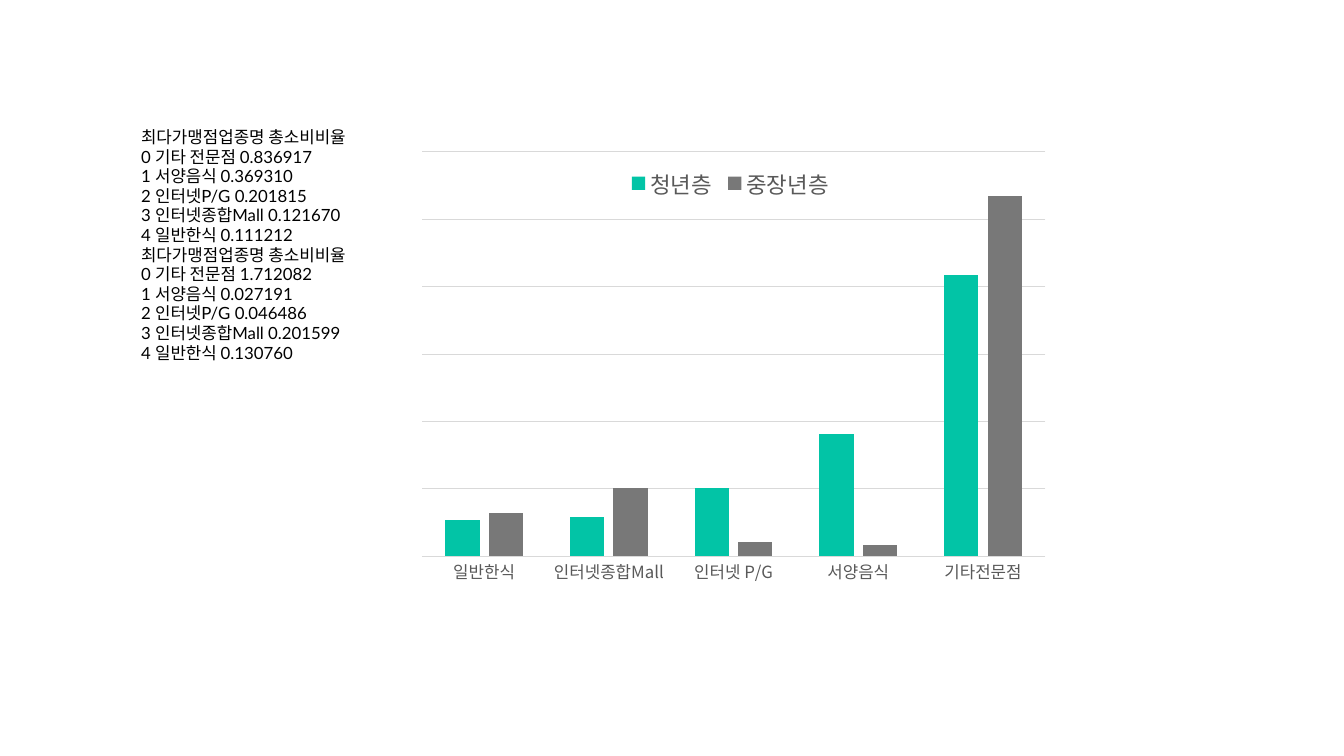
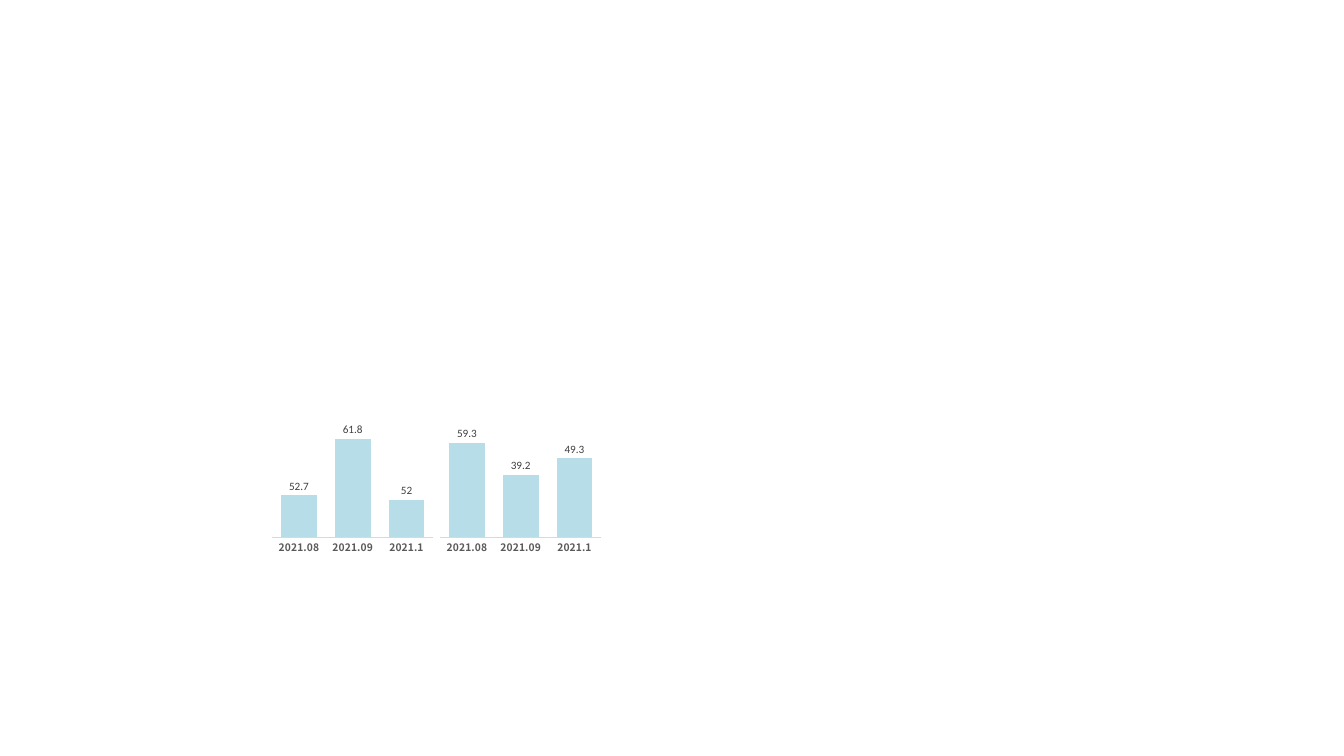
import pptx
import pptx.chart.data
import pptx.dml.color
import pptx.enum.chart
import pptx.enum.text
import pptx.oxml
import pptx.oxml.ns
import pptx.util

PX = 9525  # EMU per px, 96 px to the inch
COLORS = {
    "text": "000000", "axis": "595959", "label": "404040", "line": "D9D9D9",
    "young": "02C4A6", "older": "787878", "month": "B7DEE8",
}
LATIN, KOREAN, CHART_FONT = "Lato", "Noto Sans CJK KR", "Calibri"

SPENDING = [
    "최다가맹점업종명 총소비비율",
    "0 기타 전문점 0.836917",
    "1 서양음식 0.369310",
    "2 인터넷P/G 0.201815",
    "3 인터넷종합Mall 0.121670",
    "4 일반한식 0.111212",
    "최다가맹점업종명 총소비비율",
    "0 기타 전문점 1.712082",
    "1 서양음식 0.027191",
    "2 인터넷P/G 0.046486",
    "3 인터넷종합Mall 0.201599",
    "4 일반한식 0.130760",
]
CATEGORIES = ["일반한식", "인터넷종합Mall", "인터넷 P/G", "서양음식", "기타전문점"]
AGE_GROUPS = [
    ("청년층", [10, 11, 19, 34, 78], "young"),
    ("중장년층", [12, 19, 4, 3, 100], "older"),
]
MONTHS = ["2021.08", "2021.09", "2021.1"]
# values, axis minimum, axis maximum
MONTHLY = [([52.7, 61.8, 52], 46, 64), ([59.3, 39.2, 49.3], 0, 70)]


def rgb(name):
    return pptx.dml.color.RGBColor.from_string(COLORS[name])


def style_font(font, size, color, name, bold=False):
    font.size, font.bold, font.name = pptx.util.Pt(size), bold, name
    font.color.rgb = rgb(color)


def add_text(p, text, size=18, color="text", name=LATIN, east=KOREAN):
    r = p.add_run()
    r.text = text
    style_font(r.font, size, color, name)
    ea = pptx.oxml.parse_xml(f'<a:ea {pptx.oxml.ns.nsdecls("a")} typeface="{east}"/>')
    r.font._element.find(pptx.oxml.ns.qn("a:latin")).addnext(ea)


def set_layout(parent, index, x, y, w, h, inner=False):
    """Place a chart part by fractions of the chart frame."""
    old = parent.find(pptx.oxml.ns.qn("c:layout"))
    if old is not None:
        parent.remove(old)
    target = '<c:layoutTarget val="inner"/>' if inner else ""
    modes = '<c:xMode val="edge"/><c:yMode val="edge"/>'
    sizes = "".join(f'<c:{k} val="{v}"/>' for k, v in zip("xywh", (x, y, w, h)))
    parent.insert(index, pptx.oxml.parse_xml(
        f'<c:layout {pptx.oxml.ns.nsdecls("c")}><c:manualLayout>'
        f"{target}{modes}{sizes}</c:manualLayout></c:layout>"))


class Deck:
    def __init__(self, width, height):
        self.prs = pptx.Presentation()
        self.prs.slide_width, self.prs.slide_height = width * PX, height * PX
        self.s = None

    def slide(self):
        self.s = self.prs.slides.add_slide(self.prs.slide_layouts[6])

    def text_list(self, box, lines, spacing):
        tf = self.s.shapes.add_textbox(*(v * PX for v in box)).text_frame
        tf.word_wrap = True
        tf.auto_size = pptx.enum.text.MSO_AUTO_SIZE.SHAPE_TO_FIT_TEXT
        for i, line in enumerate(lines):
            p = tf.paragraphs[0] if i == 0 else tf.add_paragraph()
            p.line_spacing = pptx.util.Pt(spacing)
            add_text(p, line)

    def columns(self, box, cats, series, low, high, plot, gap, axis_size,
                bold=False, grid=None, labels=False):
        data = pptx.chart.data.CategoryChartData()
        data.categories = cats
        for name, values, _ in series:
            data.add_series(name, values)
        chart = self.s.shapes.add_chart(
            pptx.enum.chart.XL_CHART_TYPE.COLUMN_CLUSTERED,
            *(v * PX for v in box), data).chart
        chart.has_title = chart.has_legend = False
        style_font(chart.font, 10, "text", CHART_FONT)
        set_layout(chart._chartSpace.chart.plotArea, 0, *plot, inner=True)

        # Axes
        cat, val = chart.category_axis, chart.value_axis
        cat.major_tick_mark = pptx.enum.chart.XL_TICK_MARK.NONE
        style_font(cat.tick_labels.font, axis_size, "axis", KOREAN, bold)
        lines = [cat.format.line]
        val.visible = False
        val.minimum_scale, val.maximum_scale = low, high
        val.has_major_gridlines = grid is not None
        if grid:
            val.major_unit = grid
            lines.append(val.major_gridlines.format.line)
        for line in lines:
            line.color.rgb, line.width = rgb("line"), pptx.util.Pt(0.75)

        # Columns
        bars = chart.plots[0]
        bars.gap_width, bars.overlap, bars.vary_by_categories = gap, -27, False
        for ser, (_, _, color) in zip(bars.series, series):
            ser.format.fill.solid()
            ser.format.fill.fore_color.rgb = rgb(color)
            if labels:
                ser.data_labels.show_value = True
                ser.data_labels.position = pptx.enum.chart.XL_LABEL_POSITION.OUTSIDE_END
                style_font(ser.data_labels.font, 12, "label", CHART_FONT)
        return chart

    def legend(self, chart, area):
        chart.has_legend = True
        chart.legend.position = pptx.enum.chart.XL_LEGEND_POSITION.TOP
        chart.legend.include_in_layout = True
        style_font(chart.legend.font, 24, "axis", KOREAN)
        set_layout(chart.legend._element, 1, *area)


def main():
    deck = Deck(1920, 1080)

    # Spending share by age group
    deck.slide()
    chart = deck.columns((584, 204, 928, 642), CATEGORIES, AGE_GROUPS, 0, 112.2,
                         (0.02, 0.02, 0.96, 0.9), gap=138, axis_size=18, grid=18.7)
    deck.legend(chart, (0.33, 0.05, 0.33, 0.08))
    deck.text_list((192, 177, 368, 349), SPENDING, spacing=21)

    # Monthly values side by side
    deck.slide()
    width = 240
    for i, (values, low, high) in enumerate(MONTHLY):
        deck.columns((384 + i * width, 604, width, 192), MONTHS,
                     [("Series 1", values, "month")], low, high,
                     (0.02, 0.02, 0.96, 0.83), gap=50, axis_size=11,
                     bold=True, labels=True)

    deck.prs.save("out.pptx")


if __name__ == "__main__":
    main()
